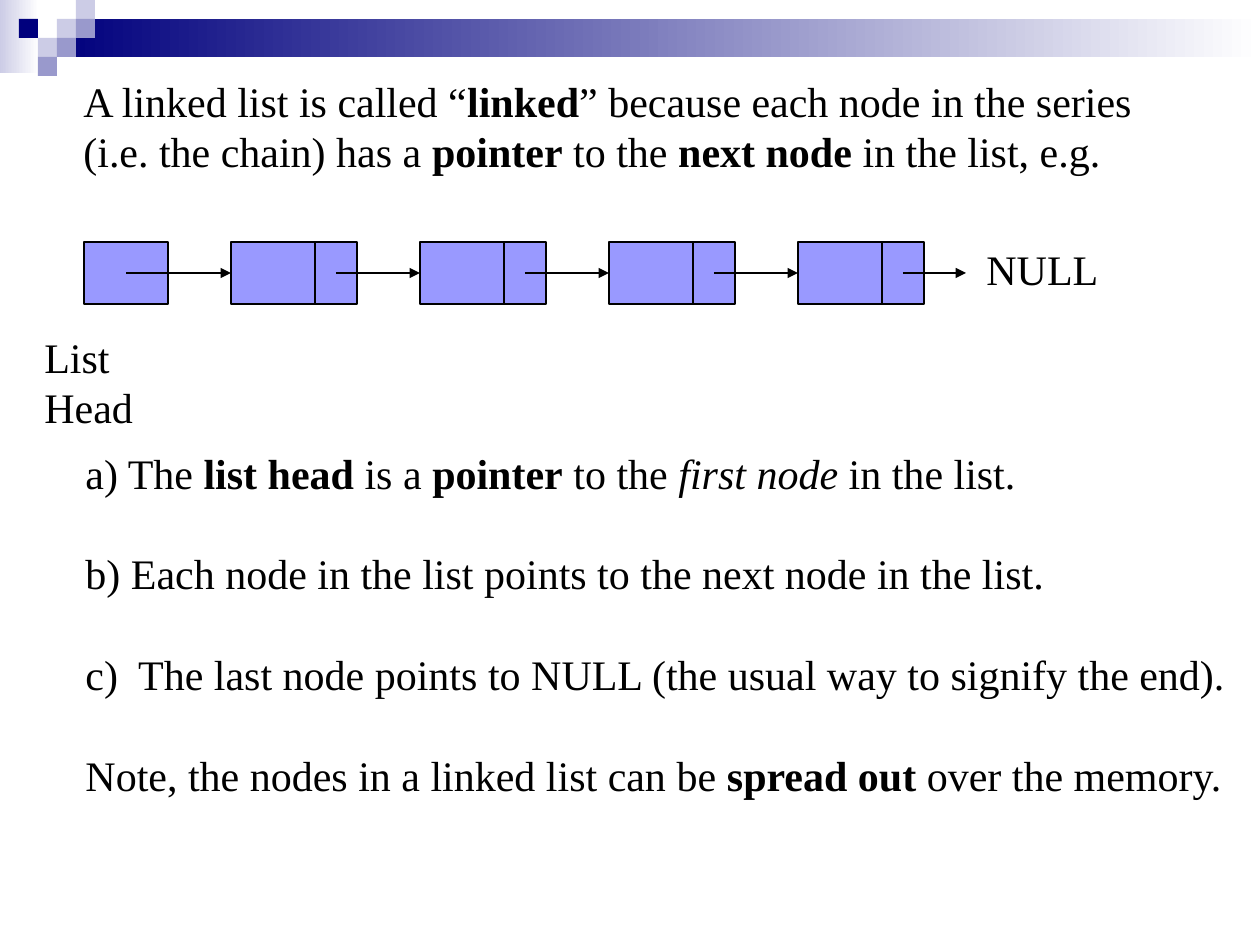
import lxml.etree
import pptx
import pptx.dml.color
import pptx.enum.shapes
import pptx.enum.text
import pptx.oxml.ns
import pptx.util

BLACK = pptx.dml.color.RGBColor(0x00, 0x00, 0x00)
WHITE = pptx.dml.color.RGBColor(0xFF, 0xFF, 0xFF)
NAVY = pptx.dml.color.RGBColor(0x00, 0x00, 0x7D)
LAVENDER = pptx.dml.color.RGBColor(0xCC, 0xCC, 0xE6)
VIOLET = pptx.dml.color.RGBColor(0x99, 0x99, 0xCC)
NODE_BLUE = pptx.dml.color.RGBColor(0x99, 0x99, 0xFF)

BOLD, ITALIC = "bold", "italic"


class Deck:
    px_per_inch = 126
    font = "Times New Roman"
    size = pptx.util.Pt(24)
    leading = pptx.util.Pt(28.8)
    line_width = pptx.util.Pt(0.75)

    def __init__(self, width, height):
        self.prs = pptx.Presentation()
        self.prs.slide_width = self.emu(width)
        self.prs.slide_height = self.emu(height)
        self.s = self.prs.slides.add_slide(self.prs.slide_layouts[6])

    def emu(self, px):
        return pptx.util.Emu(round(px * 914400 / self.px_per_inch))

    def rect(self, x, y, w, h, color, fade=False, outline=False):
        sp = self.s.shapes.add_shape(
            pptx.enum.shapes.MSO_SHAPE.RECTANGLE, *map(self.emu, (x, y, w, h)))
        sp.shadow.inherit = False
        if fade:
            sp.fill.gradient()
            sp.fill.gradient_angle = 0
            for stop, rgb in zip(sp.fill.gradient_stops, (color, WHITE)):
                stop.color.rgb = rgb
        else:
            sp.fill.solid()
            sp.fill.fore_color.rgb = color
        if outline:
            sp.line.color.rgb = BLACK
            sp.line.width = self.line_width
        else:
            sp.line.fill.background()
        return sp

    def line(self, x1, y1, x2, y2, arrow=False, target=None):
        c = self.s.shapes.add_connector(
            pptx.enum.shapes.MSO_CONNECTOR.STRAIGHT,
            *map(self.emu, (x1, y1, x2, y2)))
        c.line.color.rgb = BLACK
        c.line.width = self.line_width
        if arrow:
            lxml.etree.SubElement(
                c.line._get_or_add_ln(), pptx.oxml.ns.qn("a:tailEnd"), type="triangle")
        lxml.etree.SubElement(
            c._element.spPr, pptx.oxml.ns.qn("a:effectLst"))
        if target is not None:
            c.end_connect(target, 1)

    def text(self, x, y, w, h, paragraphs, gap=0):
        tf = self.s.shapes.add_textbox(*map(self.emu, (x, y, w, h))).text_frame
        tf.word_wrap = False
        tf.auto_size = pptx.enum.text.MSO_AUTO_SIZE.SHAPE_TO_FIT_TEXT
        for i, runs in enumerate(paragraphs):
            p = tf.add_paragraph() if i else tf.paragraphs[0]
            p.line_spacing = self.leading
            if i and gap:
                p.space_before = gap
            for text, style in runs:
                r = p.add_run()
                r.text = text
                r.font.name = self.font
                r.font.size = self.size
                r.font.color.rgb = BLACK
                r.font.bold = style == BOLD
                r.font.italic = style == ITALIC


def draw_banner(deck):
    tile = 19
    deck.rect(0, 0, 39, 73, LAVENDER, fade=True)
    deck.rect(3 * tile, tile, 1260 - 3 * tile, 2 * tile, NAVY, fade=True)
    tiles = [(3, 1, LAVENDER), (4, 0, LAVENDER), (4, 1, VIOLET), (2, 2, LAVENDER),
             (1, 1, NAVY), (3, 2, VIOLET), (2, 3, VIOLET)]
    for col, row, color in tiles:
        deck.rect(col * tile, row * tile, tile, tile, color)


def draw_list(deck):
    top, height, cell, node_width = 242, 62, 84, 126
    middle = top + height // 2
    deck.rect(84, top, cell, height, NODE_BLUE, outline=True)
    arrow_start = 126
    for i in range(4):
        x = 231 + 189 * i
        node = deck.rect(x, top, node_width, height, NODE_BLUE, outline=True)
        deck.line(x + cell, top, x + cell, top + height)
        deck.line(arrow_start, middle, x, middle, arrow=True, target=node)
        arrow_start = x + (cell + node_width) // 2
    deck.line(arrow_start, middle, arrow_start + 63, middle, arrow=True)
    deck.text(32, 325, 189, 63, [[("List Head", None)]])
    deck.text(974, 237, 137, 63, [[("NULL", None)]])


def main():
    deck = Deck(1260, 945)
    draw_banner(deck)
    deck.text(71, 69, 1076, 113, [
        [("A linked list is called “", None), ("linked", BOLD),
         ("” because each node in the series", None)],
        [("(i.e. the chain) has a ", None), ("pointer", BOLD), (" to the ", None),
         ("next node", BOLD), (" in the list, e.g.", None)],
    ])
    draw_list(deck)
    deck.text(73, 441, 1167, 365, [
        [("a) The ", None), ("list head", BOLD), (" is a ", None), ("pointer", BOLD),
         (" to the ", None), ("first node", ITALIC), (" in the list.", None)],
        [("b) Each node in the list points to the next node in the list.", None)],
        [("c)  The last node points to NULL (the usual way to signify the end).", None)],
        [("Note, the nodes in a linked list can be ", None), ("spread out", BOLD),
         (" over the memory.", None)],
    ], gap=deck.leading)
    deck.prs.save("out.pptx")


if __name__ == "__main__":
    main()
